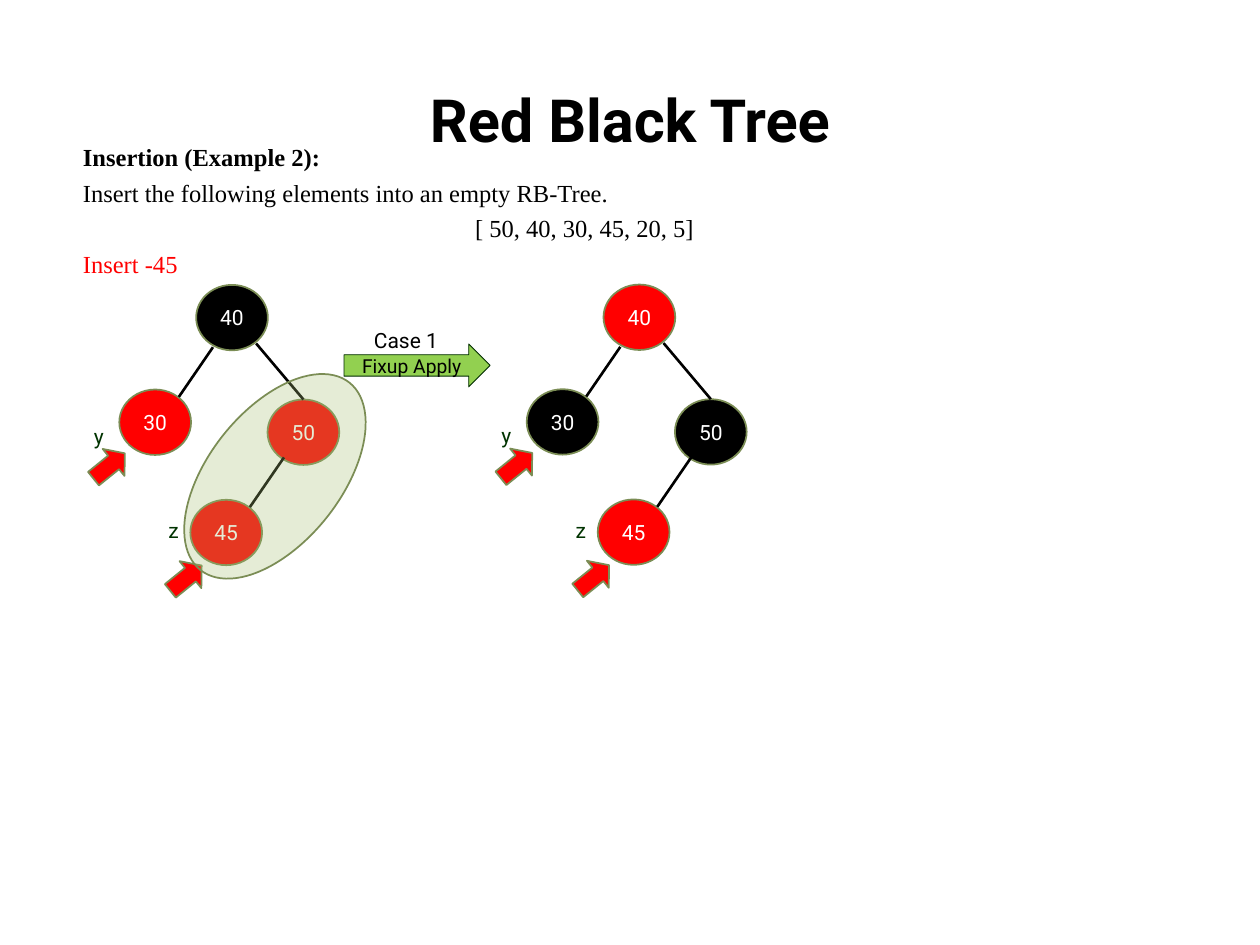
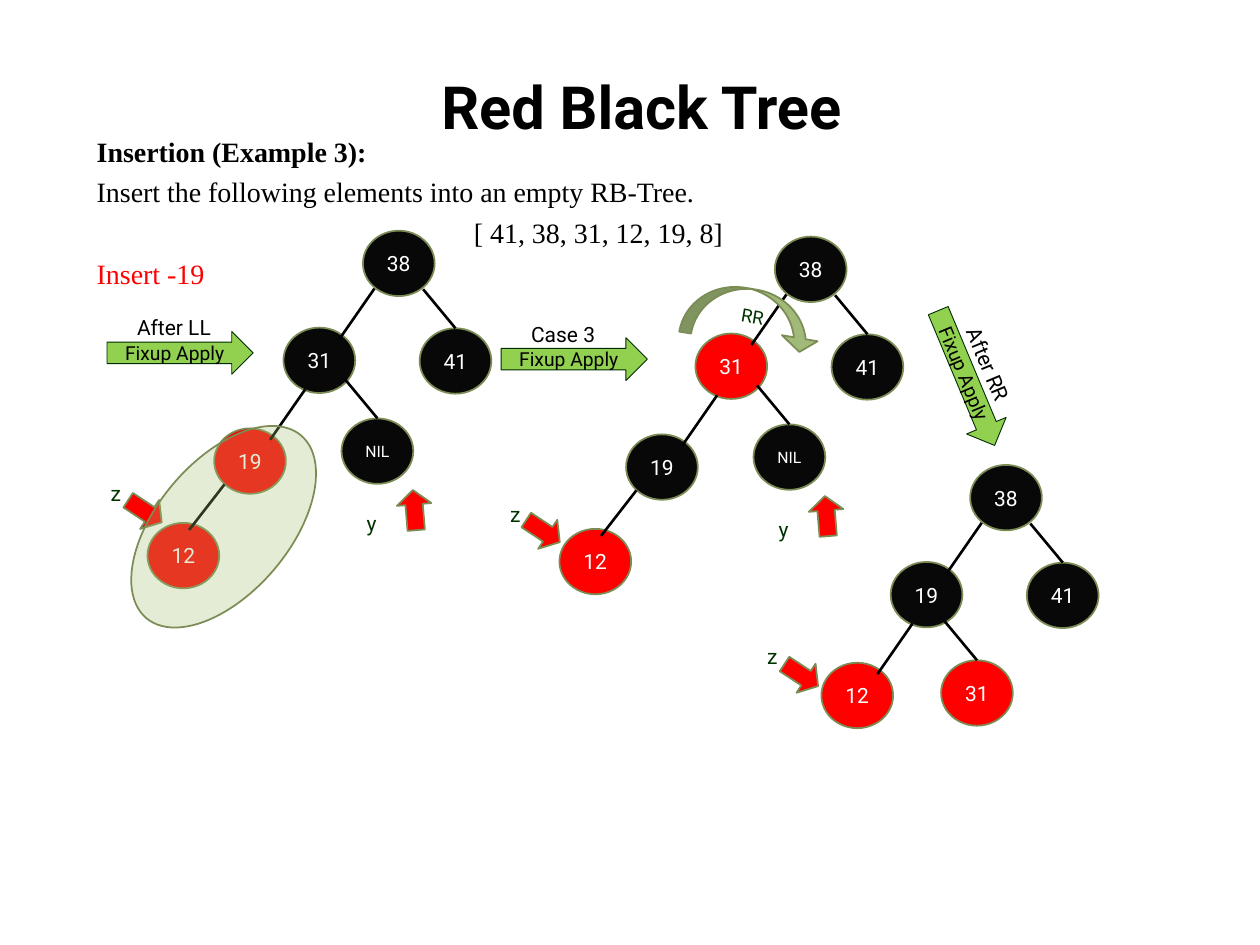
from math import cos, radians, sin

from lxml.etree import SubElement
from pptx import Presentation
from pptx.dml.color import RGBColor
from pptx.enum.shapes import MSO_CONNECTOR as Connector, MSO_SHAPE as Preset
from pptx.enum.text import MSO_ANCHOR as Anchor, PP_ALIGN as Align
from pptx.oxml.ns import qn
from pptx.util import Pt

# Shared style
SANS, SERIF = "Roboto", "Times New Roman"
BLACK, NEAR_BLACK, RED, WHITE = "000000", "080808", "FF0000", "FFFFFF"
OLIVE, PALE_OLIVE, CURVE_GREEN = "7B8D55", "A6BF73", "A1B979"
LIME, DARK_GREEN, LABEL_GREEN = "92D050", "002A00", "003300"

NODE_WIDTH, NODE_HEIGHT = 41, 37.4
POINTER_SIZE = (23, 19.8)
STAGE_WIDTH, STAGE_HEIGHT = 83.5, 24.5
LABEL_HEIGHT = 21.6

# Edge ends (x1, y1, x2, y2) measured from the child's corner
EDGES = {
    "left": (52, -22.3, 32, 6.5),
    "right": (2, -22.3, 20.5, 0),
    "short left": (44, -22, 23.8, 4),
    "steep left": (53.5, -24.2, 34, 4.2),
    "long right": (-6.5, -32, 20.5, 0),
}


def color(hex_string):
    return RGBColor.from_string(hex_string)


def write(paragraph, text, size, hex_string, font=SANS, bold=False, align=Align.LEFT):
    paragraph.text = text
    paragraph.alignment = align
    paragraph.font.name = font
    paragraph.font.size = Pt(size)
    paragraph.font.bold = bold
    paragraph.font.color.rgb = color(hex_string)


def add_preset(slide, preset, box, fill, line=OLIVE, line_width=1.0, rotation=0):
    shape = slide.shapes.add_shape(preset, *map(Pt, box))
    shape.shadow.inherit = False
    shape.fill.solid()
    shape.fill.fore_color.rgb = color(fill)
    shape.line.color.rgb = color(line)
    shape.line.width = Pt(line_width)
    shape.rotation = rotation
    return shape


def write_inside(shape, text, size, hex_string):
    frame = shape.text_frame
    frame.margin_left = frame.margin_right = 0
    frame.margin_top = frame.margin_bottom = 0
    frame.vertical_anchor = Anchor.MIDDLE
    write(frame.paragraphs[0], text, size, hex_string, align=Align.CENTER)


def add_label(slide, left, top, width, text, hex_string, rotation=0):
    label = slide.shapes.add_textbox(Pt(left), Pt(top), Pt(width), Pt(LABEL_HEIGHT))
    label.rotation = rotation
    label.text_frame.word_wrap = True
    write(label.text_frame.paragraphs[0], text, 12, hex_string)


def add_edge(slide, ends):
    edge = slide.shapes.add_connector(Connector.STRAIGHT, *map(Pt, ends))
    edge.line.color.rgb = color(BLACK)
    edge.line.width = Pt(1.5)
    SubElement(edge._element.spPr, qn("a:effectLst"))


def add_pointer(slide, root, name, label_at, arrow_at, rotation):
    left, top = root
    add_label(slide, left + label_at[0], top + label_at[1], 19.4, name, LABEL_GREEN)
    box = (left + arrow_at[0], top + arrow_at[1], *POINTER_SIZE)
    arrow = add_preset(slide, Preset.RIGHT_ARROW, box, RED, rotation=rotation)
    arrow.adjustments[1] = 0.415


def add_tree(slide, root, nodes, pointers):
    """Nodes are (key, fill, dx, dy, edge); offsets count from the root's corner."""
    for pointer in pointers:
        add_pointer(slide, root, *pointer)
    for key, fill, dx, dy, edge in nodes:
        left, top = root[0] + dx, root[1] + dy
        node = add_preset(slide, Preset.OVAL, (left, top, NODE_WIDTH, NODE_HEIGHT), fill)
        write_inside(node, key, 9 if key == "NIL" else 12, WHITE)
        if edge:
            x1, y1, x2, y2 = EDGES[edge]
            add_edge(slide, (left + x1, top + y1, left + x2, top + y2))


def add_highlight(slide, root, dx, dy, rotation):
    box = (root[0] + dx, root[1] + dy, 75.6, 136.8)
    oval = add_preset(slide, Preset.OVAL, box, PALE_OLIVE, rotation=rotation)
    rgb = oval._element.spPr.find(qn("a:solidFill")).find(qn("a:srgbClr"))
    SubElement(rgb, qn("a:alpha"), val="29000")


def add_stage(slide, left, top, text, rotation=0):
    """Green arrow with a label that turns with it about the arrow's centre."""
    box = (left, top, STAGE_WIDTH, STAGE_HEIGHT)
    arrow = add_preset(slide, Preset.RIGHT_ARROW, box, LIME, DARK_GREEN, 0.5, rotation)
    write_inside(arrow, "Fixup Apply", 11, BLACK)
    angle, width, dx, dy = radians(rotation), 62, -0.75, -14.45
    center_x = left + STAGE_WIDTH / 2 + dx * cos(angle) - dy * sin(angle)
    center_y = top + STAGE_HEIGHT / 2 + dx * sin(angle) + dy * cos(angle)
    add_label(slide, center_x - width / 2, center_y - LABEL_HEIGHT / 2, width,
              text, BLACK, rotation)


def add_rotation_arrow(slide, root, text):
    box = (root[0] - 52.6, root[1] + 30.2, 80, 31)
    arrow = add_preset(slide, Preset.CURVED_DOWN_ARROW, box, CURVE_GREEN, rotation=9.6)
    for index, value in enumerate((0.221, 0.669, 0.25)):
        arrow.adjustments[index] = value
    write_inside(arrow, text, 10.5, LABEL_GREEN)


def add_example_slide(presentation, title_at, body_box, size, number, keys, inserted):
    slide = presentation.slides.add_slide(presentation.slide_layouts[5])
    # Title
    title = slide.shapes.title
    title.left, title.top = map(Pt, title_at)
    title.width, title.height = Pt(648), Pt(56.9)
    title.text_frame.vertical_anchor = Anchor.MIDDLE
    write(title.text_frame.paragraphs[0], "Red Black Tree", 34, BLACK,
          bold=True, align=Align.CENTER)
    # Task
    frame = slide.shapes.add_textbox(*map(Pt, body_box)).text_frame
    frame.word_wrap = True
    lines = (
        (f"Insertion (Example {number}):", BLACK, True, Align.JUSTIFY),
        ("Insert the following elements into an empty RB-Tree.", BLACK, False, Align.JUSTIFY),
        (f"[ {keys}]", BLACK, False, Align.CENTER),
        (f"Insert -{inserted}", RED, False, Align.LEFT),
    )
    for index, (text, hex_string, bold, align) in enumerate(lines):
        paragraph = frame.add_paragraph() if index else frame.paragraphs[0]
        write(paragraph, text, size, hex_string, SERIF, bold, align)
        if index:
            paragraph.space_before = Pt(size / 4)
    return slide


def build_example_2(presentation):
    slide = add_example_slide(presentation, (36, 39.6), (40.3, 77.6, 587.5, 87), 14,
                              2, "50, 40, 30, 45, 20, 5", 45)
    add_stage(slide, 196.6, 196.6, "Case 1")

    # Same tree before and after recolouring
    before, after = (112.1, 162.8), (344.9, 162.6)
    pointers = [("z", (-23, 129.6), (-17.3, 157.7), 321),
                ("y", (-65.5, 75.6), (-61.2, 93.6), 321)]
    for root, root_fill, child_fill in ((before, BLACK, RED), (after, RED, BLACK)):
        add_tree(slide, root, [
            ("40", root_fill, 0, 0, None),
            ("50", child_fill, 40.8, 65.5, "long right"),
            ("30", child_fill, -43.9, 59.8, "steep left"),
            ("45", RED, -3.3, 122.8, "steep left"),
        ], pointers)
    # The left uncle stays red until the fix-up
    add_highlight(slide, before, 7.2, 41, 38.5)


def build_example_3(presentation):
    slide = add_example_slide(presentation, (42.5, 31.7), (48.2, 73.3, 587.5, 96.5), 16,
                              3, "41, 38, 31, 12, 19, 8", 19)
    add_stage(slide, 61.2, 189.4, "After LL")
    add_stage(slide, 286.4, 193, "Case 3")
    add_stage(slide, 510.5, 203.8, "After RR", 67.3)

    after_ll, case_3, after_rr = (207.4, 131.8), (442.8, 135.2), (554.4, 265.7)
    top_nodes = [("38", NEAR_BLACK, 0, 0, None), ("41", NEAR_BLACK, 32.4, 55.8, "right")]
    y_pointer = ("y", (-5, 156.2), (18, 149.8), 265.3)

    # Trees before and after recolouring
    for root, fill_31, fill_19, z_label, z_arrow in (
        (after_ll, NEAR_BLACK, RED, (-151.2, 139), (-136.1, 150.5)),
        (case_3, RED, NEAR_BLACK, (-158.4, 147.6), (-144, 158.4)),
    ):
        add_tree(slide, root, top_nodes + [
            ("31", fill_31, -45.4, 55.4, "left"),
            ("19", fill_19, -85, 113, "left"),
            ("12", RED, -123.1, 167, "short left"),
            ("NIL", NEAR_BLACK, -12.2, 107.3, "right"),
        ], [("z", z_label, z_arrow, 33.4), y_pointer])
    add_highlight(slide, after_ll, -117.4, 100.8, 40.3)
    add_rotation_arrow(slide, case_3, "RR")

    # Tree after the rotation
    add_tree(slide, after_rr, top_nodes + [
        ("19", NEAR_BLACK, -45.4, 55.4, "left"),
        ("12", RED, -85, 113, "left"),
        ("31", RED, -16.6, 111.6, "right"),
    ], [("z", (-123.1, 98.6), (-108, 110.2), 33.4)])


def main():
    presentation = Presentation()
    presentation.slide_width, presentation.slide_height = Pt(720), Pt(540)
    build_example_2(presentation)
    build_example_3(presentation)
    presentation.save("out.pptx")


if __name__ == "__main__":
    main()
